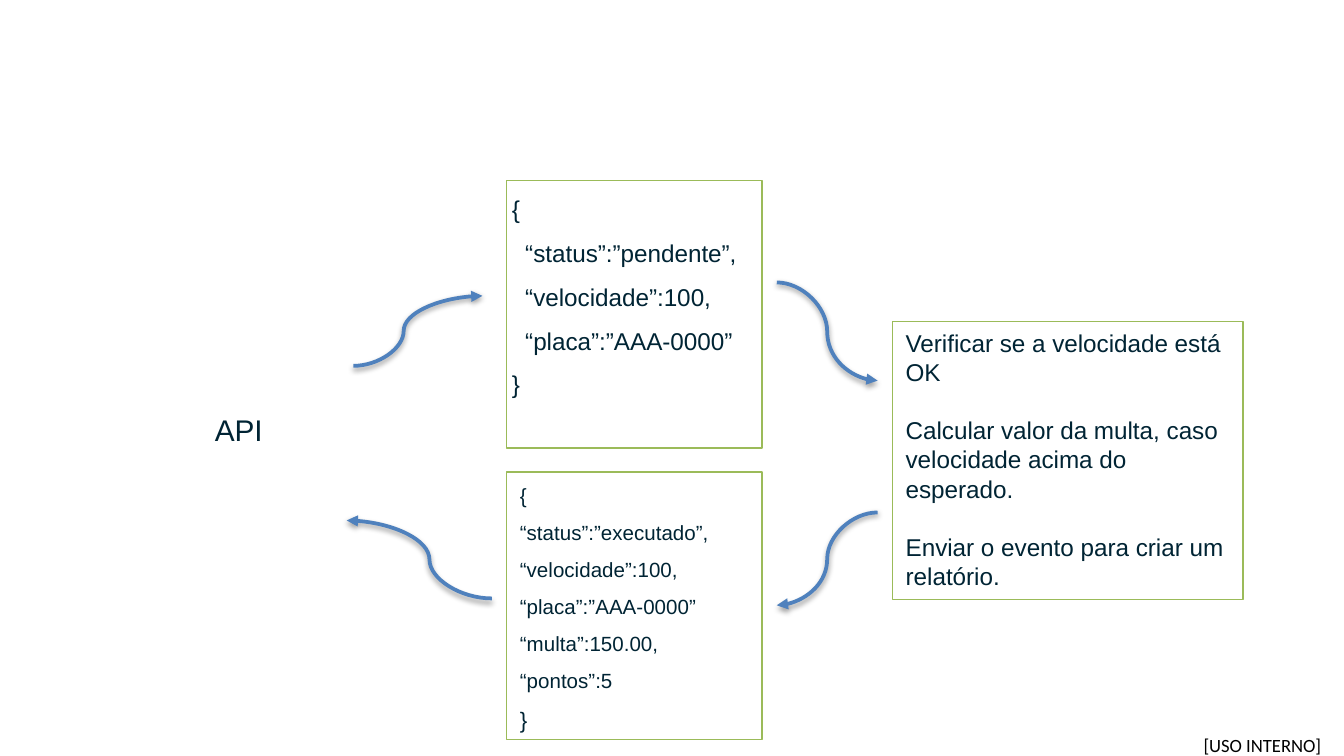
from lxml.etree import SubElement
from pptx import Presentation
from pptx.dml.color import RGBColor as RGB
from pptx.enum.shapes import MSO_CONNECTOR as CONN, MSO_SHAPE as SHAPE
from pptx.enum.text import MSO_AUTO_SIZE as FIT, PP_ALIGN as ALIGN
from pptx.oxml import parse_xml
from pptx.oxml.ns import nsdecls, qn
from pptx.util import Inches, Pt

THEME = {
    "ink": RGB(0x00, 0x24, 0x34), "black": RGB(0, 0, 0),
    "frame": RGB(0x9B, 0xBB, 0x59), "arrow": RGB(0x4F, 0x81, 0xBD),
    "font": "Arial", "footer_font": "Calibri",
    "title": Pt(16), "body": Pt(13), "brace": Pt(12), "code": Pt(11), "footer": Pt(10),
    "frame_line": Pt(0.75), "arrow_line": Pt(2), "paragraph_gap": Pt(15.6),
}

prs = Presentation()
prs.slide_width = Inches(10)
prs.slide_height = prs.slide_width * 9 // 16
s = prs.slides.add_slide(prs.slide_layouts[6])
COL, ROW = prs.slide_width / 100, prs.slide_height / 100


def grid(*lengths):
    """Turn alternating column and row counts, each 1% of the slide, into EMU."""
    return [round(n * unit) for n, unit in zip(lengths, (COL, ROW) * 2)]


def add_text(place, lines, size, color="ink", font="font", wrap=True, **layout):
    sp = s.shapes.add_textbox(*grid(*place))
    tf = sp.text_frame
    tf.word_wrap, tf.auto_size = wrap, FIT.SHAPE_TO_FIT_TEXT
    for i, line in enumerate(lines):
        p = tf.paragraphs[0] if i == 0 else tf.add_paragraph()
        for name, value in layout.items():
            if i or name != "space_before":
                setattr(p, name, value)
        r = p.add_run()
        r.text = line
        r.font.name, r.font.size = THEME[font], THEME[size]
        r.font.color.rgb = THEME[color]
    return tf


# Frames: request message, response message, processing steps
REQUEST = (37.7, 23.84, 19, 35.41)
RESPONSE = (37.7, 62.46, 19, 35.41)
STEPS = (66.4, 42.53, 26.1, 36.83)
for place in (REQUEST, RESPONSE, STEPS):
    sp = s.shapes.add_shape(SHAPE.RECTANGLE, *grid(*place))
    sp.shadow.inherit = False
    sp.fill.background()
    sp.line.color.rgb, sp.line.width = THEME["frame"], THEME["frame_line"]

# Texts
add_text((37.1, 22.95, 19, 30.25),
         ["{", "  “status”:”pendente”,", "  “velocidade”:100,", "  “placa”:”AAA-0000”", "}"],
         "body", line_spacing=1.5)
response = add_text((37.7, 61.39, 19, 36.48),
                    ["{", "“status”:”executado”,", "“velocidade”:100,", "“placa”:”AAA-0000”",
                     "“multa”:150.00,", "“pontos”:5", "}"],
                    "code", line_spacing=1.5)
response.paragraphs[-1].runs[0].font.size = THEME["brace"]
add_text(STEPS,
         ["Verificar se a velocidade está OK",
          "Calcular valor da multa, caso velocidade acima do esperado.",
          "Enviar o evento para criar um relatório."],
         "body", space_before=THEME["paragraph_gap"])
add_text((15, 53.56, 5.6, 6.58), ["API"], "title", wrap=False, alignment=ALIGN.JUSTIFY)
footer = add_text((89.2, 97.1, 9.1, 3.02), ["[USO INTERNO]"], "footer", "black",
                  "footer_font", alignment=ALIGN.RIGHT)
for side in ("left", "top", "right", "bottom"):
    setattr(footer, f"margin_{side}", 0)

# Curved arrows: start, end, position of the bend (share of the width)
SHADOW = (f'<a:effectLst {nsdecls("a")}><a:outerShdw blurRad="{Pt(3.1)}" dist="{Pt(1.6)}" '
          'dir="5400000" rotWithShape="0"><a:srgbClr val="000000"><a:alpha val="38000"/>'
          '</a:srgbClr></a:outerShdw></a:effectLst>')
for start, end, bend in [
    ((26.3, 48.4), (35.9, 39.15), 0.39),
    ((57.8, 37.37), (65.3, 50.36), 0.5),
    ((65.3, 67.79), (57.8, 80.07), 0.5),
    ((36.6, 79.18), (25.8, 68.86), 0.43),
]:
    arrow = s.shapes.add_connector(CONN.CURVE, *grid(*start, *end))
    arrow.line.color.rgb, arrow.line.width = THEME["arrow"], THEME["arrow_line"]
    SubElement(arrow.line._get_or_add_ln(), qn("a:tailEnd"), type="triangle")
    sp_pr = arrow._element.spPr
    sp_pr.append(parse_xml(SHADOW))
    adjust = sp_pr.find(qn("a:prstGeom")).find(qn("a:avLst"))
    SubElement(adjust, qn("a:gd"), name="adj1", fmla=f"val {round(bend * 100000)}")

prs.save("out.pptx")
